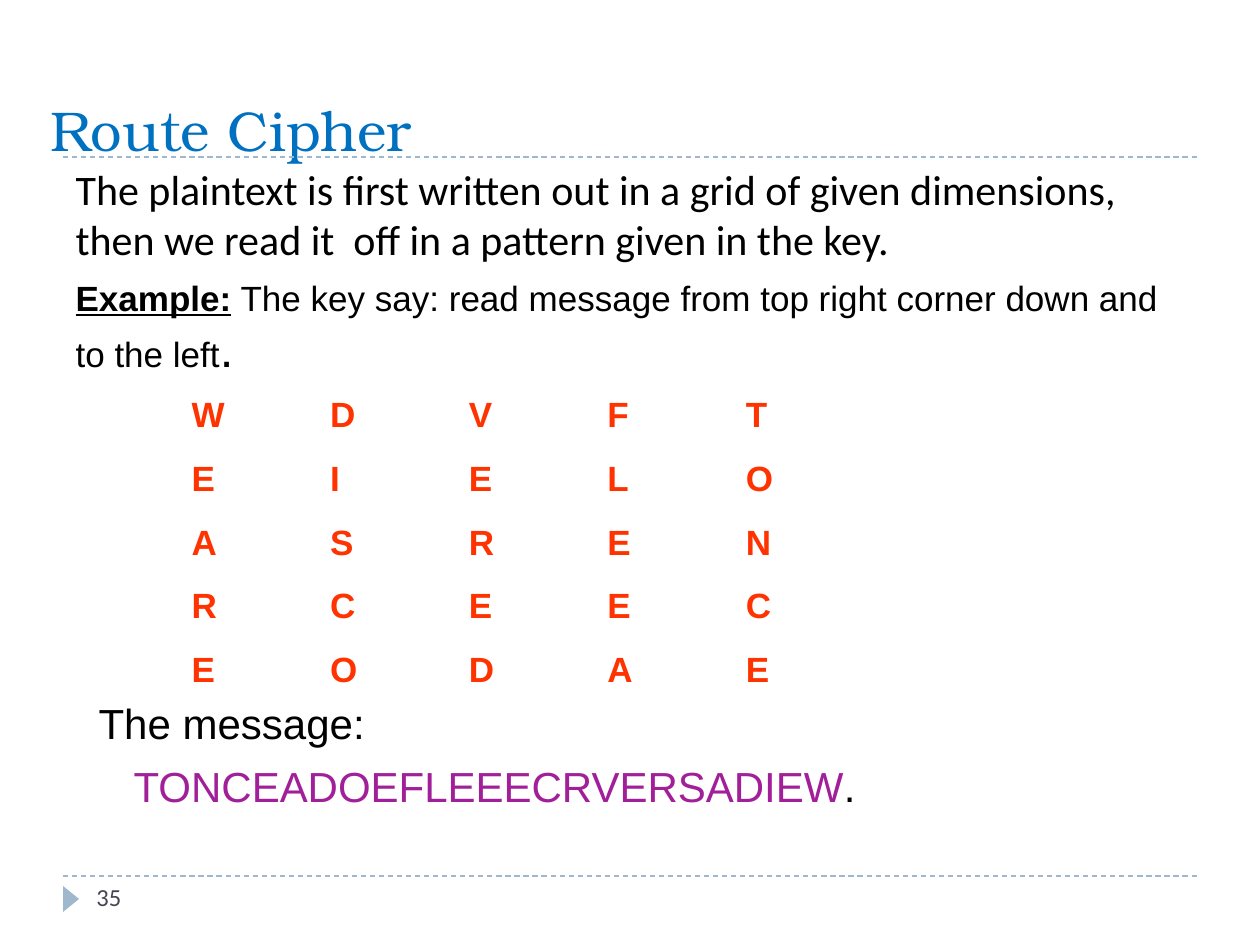
"""Builds the Route Cipher slide: explanation, letter grid and the resulting message."""
from lxml.etree import SubElement
from pptx import Presentation
from pptx.dml.color import RGBColor
from pptx.enum.dml import MSO_LINE
from pptx.enum.shapes import MSO_CONNECTOR, MSO_SHAPE
from pptx.enum.text import MSO_ANCHOR, MSO_AUTO_SIZE, PP_ALIGN
from pptx.oxml.ns import qn
from pptx.util import Pt

SCALE = 914400 / 126
BLUE = RGBColor(0x00, 0x70, 0xC0)
BLACK = RGBColor(0x00, 0x00, 0x00)
RED = RGBColor(0xFF, 0x33, 0x00)
PURPLE = RGBColor(0xA1, 0x1F, 0x98)
RULE = RGBColor(0x9F, 0xB8, 0xCD)
GREY = RGBColor(0x46, 0x46, 0x53)

TITLE = "Route Cipher"
NUMBER = "35"
GRID = ["WDVFT", "EIELO", "ASREN", "RCEEC", "EODAE"]
RULES_Y = [876, 157]

# (space before in pt, indent in px, runs of (text, font, size, colour, emphasis))
BODY = [
    (0, 0, [("The plaintext is first written out in a grid of given dimensions, "
             "then we read it  off in a pattern given in the key.",
             "Calibri", 24, BLACK, False)]),
    (7, 0, [("Example:", "Arial", 20, BLACK, True),
            (" The key say: read message from top right corner down and to the left",
             "Arial", 20, BLACK, False),
            (".", "Arial", 28, BLACK, False)]),
    (183, 23, [("The message:", "Arial", 24, BLACK, False)]),
    (7, 58, [("TONCEADOEFLEEECRVERSADIEW", "Arial", 24, PURPLE, False),
             (".", "Arial", 24, BLACK, False)]),
]


def px(n):
    return round(n * SCALE)


def box(*sides):
    return [px(n) for n in sides]


def place(sp, *sides):
    sp.left, sp.top, sp.width, sp.height = box(*sides)
    sp.text_frame.auto_size = MSO_AUTO_SIZE.NONE
    sp.text_frame.word_wrap = True


def indent(p, left):
    pPr = p._p.get_or_add_pPr()
    pPr.set("marL", str(px(left)))
    pPr.set("indent", "0")
    SubElement(pPr, qn("a:buNone"))


def style(font, name, size, color, bold=False):
    font.name, font.size, font.bold = name, Pt(size), bold
    font.color.rgb = color


def main():
    prs = Presentation()
    prs.slide_width, prs.slide_height = px(1260), px(945)
    s = prs.slides.add_slide(prs.slide_layouts[1])

    for y in RULES_Y:
        line = s.shapes.add_connector(MSO_CONNECTOR.STRAIGHT, *box(63, y, 1197, y))
        line.line.color.rgb = RULE
        line.line.width = Pt(0.75)
        line.line.dash_style = MSO_LINE.DASH
        SubElement(line._element.spPr, qn("a:effectLst"))

    marker = s.shapes.add_shape(MSO_SHAPE.ISOSCELES_TRIANGLE, *box(58, 891, 26, 16))
    marker.rotation = 90
    marker.shadow.inherit = False
    marker.fill.solid()
    marker.fill.fore_color.rgb = RULE
    marker.line.fill.background()

    title = s.shapes.title
    place(title, -32, 21, 1134, 148)
    title.text_frame.text = TITLE
    title.text_frame.vertical_anchor = MSO_ANCHOR.BOTTOM
    p = title.text_frame.paragraphs[0]
    p.alignment = PP_ALIGN.LEFT
    indent(p, 70)
    style(p.runs[0].font, "TeX Gyre Bonum", 32, BLUE)

    body = s.placeholders[1]
    place(body, 63, 157, 1134, 714)
    tf = body.text_frame
    for i, (before, left, runs) in enumerate(BODY):
        p = tf.add_paragraph() if i else tf.paragraphs[0]
        p.space_before = Pt(before)
        indent(p, left)
        for text, name, size, color, strong in runs:
            r = p.add_run()
            r.text = text
            style(r.font, name, size, color, strong)
            r.font.underline = strong

    table = s.shapes.add_table(len(GRID), len(GRID[0]), *box(179, 378, 693, 318)).table
    table.first_row = table.horz_banding = False
    for i, letters in enumerate(GRID):
        for j, letter in enumerate(letters):
            cell = table.cell(i, j)
            cell.fill.background()
            cell.vertical_anchor = MSO_ANCHOR.BOTTOM
            cell.text_frame.text = letter
            style(cell.text_frame.paragraphs[0].runs[0].font, "Arial", 20, RED, True)

    number = s.shapes.add_textbox(*box(84, 876, 273, 50))
    number.text_frame.word_wrap = True
    number.text_frame.text = NUMBER
    style(number.text_frame.paragraphs[0].runs[0].font, "Calibri", 14, GREY)

    prs.save("out.pptx")


if __name__ == "__main__":
    main()
